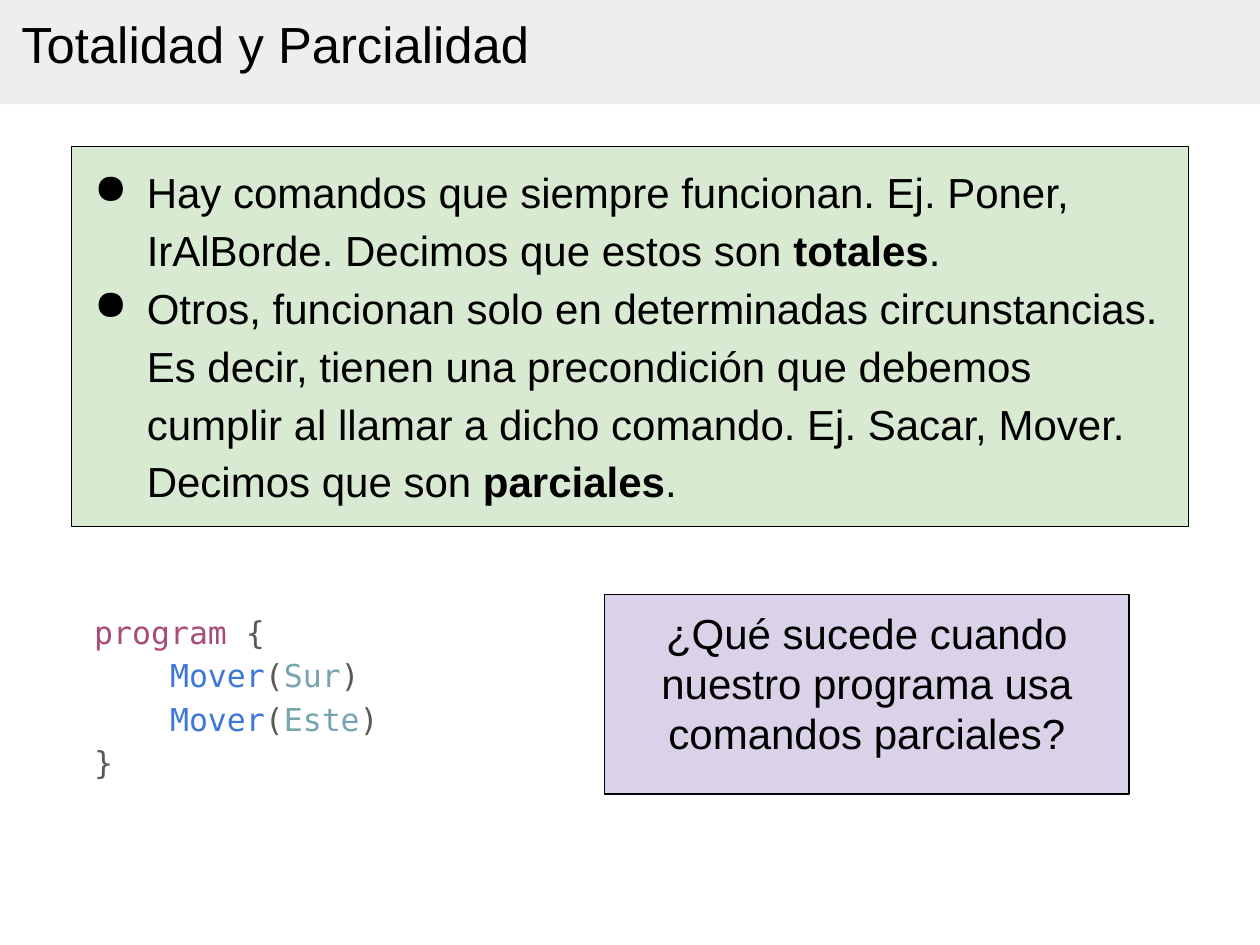
"""Build the slide about total and partial commands."""
from lxml import etree
from pptx import Presentation
from pptx.dml.color import RGBColor
from pptx.enum.shapes import MSO_SHAPE as Shape
from pptx.enum.text import MSO_ANCHOR as Anchor, PP_ALIGN as Align
from pptx.oxml.ns import qn
from pptx.util import Cm, Pt

BLACK, GRAY, PINK, BLUE, TEAL = "000000", "595959", "A64D79", "3C78D8", "76A5AF"


def color(value):
    return RGBColor.from_string(value)


def add_run(paragraph, text, size, run_color=BLACK, font="Arial", bold=False):
    run = paragraph.add_run()
    run.text = text
    run.font.name = font
    run.font.size = Pt(size)
    run.font.bold = bold
    run.font.color.rgb = color(run_color)


presentation = Presentation()
presentation.slide_width = Cm(25.4)
presentation.slide_height = Cm(19.05)
slide = presentation.slides.add_slide(presentation.slide_layouts[5])
shapes = slide.shapes

panels = []
for left, top, width, height, fill, line in [
    (0, 0, 25.4, 2.1, "EEEEEE", None),
    (1.44, 2.95, 22.52, 7.67, "D9EAD3", BLACK),
    (12.19, 11.99, 10.57, 4.02, "D9D2E9", BLACK),
]:
    panel = shapes.add_shape(Shape.RECTANGLE, Cm(left), Cm(top), Cm(width), Cm(height))
    panel.shadow.inherit = False
    panel.fill.solid()
    panel.fill.fore_color.rgb = color(fill)
    if line:
        panel.line.color.rgb = color(line)
        panel.line.width = Pt(0.75)
    else:
        panel.line.fill.background()
    panels.append(panel)
band, definitions, question = panels

title = shapes.title
title.left, title.top, title.width, title.height = Cm(0.18), Cm(-0.1), Cm(19.38), Cm(1.96)
band.element.addnext(title.element)
code = shapes.add_textbox(Cm(1.65), Cm(11.99), Cm(6.63), Cm(4.02))

for shape in (title, definitions, question, code):
    frame = shape.text_frame
    frame.word_wrap = True
    frame.vertical_anchor = Anchor.MIDDLE if shape is title else Anchor.TOP
    frame.margin_left = frame.margin_right = Cm(0.25)
    frame.margin_top = frame.margin_bottom = Cm(0.25)

paragraph = title.text_frame.paragraphs[0]
paragraph.alignment = Align.LEFT
add_run(paragraph, "Totalidad y Parcialidad", 29)

bullets = [
    ("Hay comandos que siempre funcionan. Ej. Poner, IrAlBorde. "
     "Decimos que estos son ", "totales"),
    ("Otros, funcionan solo en determinadas circunstancias. Es decir, tienen una "
     "precondición que debemos cumplir al llamar a dicho comando. Ej. Sacar, Mover. "
     "Decimos que son ", "parciales"),
]
frame = definitions.text_frame
for index, (explanation, term) in enumerate(bullets):
    paragraph = frame.add_paragraph() if index else frame.paragraphs[0]
    paragraph.alignment = Align.LEFT
    paragraph.line_spacing = 1.15
    properties = paragraph._p.get_or_add_pPr()
    properties.set("marL", str(Cm(1.27)))
    properties.set("indent", str(Cm(-1.06)))
    bullet_color = etree.SubElement(properties, qn("a:buClr"))
    etree.SubElement(bullet_color, qn("a:srgbClr"), val=BLACK)
    etree.SubElement(properties, qn("a:buChar"), char="●")
    add_run(paragraph, explanation, 24)
    add_run(paragraph, term, 24, bold=True)
    add_run(paragraph, ".", 24)

paragraph = question.text_frame.paragraphs[0]
paragraph.alignment = Align.CENTER
add_run(paragraph, "¿Qué sucede cuando nuestro programa usa comandos parciales?", 24)

code_lines = [[("program", PINK), (" {", GRAY)]]
for direction in ("Sur", "Este"):
    code_lines.append([("    Mover", BLUE), ("(", GRAY), (direction, TEAL), (")", GRAY)])
code_lines.append([("}", GRAY)])
frame = code.text_frame
for index, tokens in enumerate(code_lines):
    paragraph = frame.add_paragraph() if index else frame.paragraphs[0]
    paragraph.line_spacing = 1.15
    for text, token_color in tokens:
        add_run(paragraph, text, 18, token_color, "DejaVu Sans Mono")

presentation.save("out.pptx")
